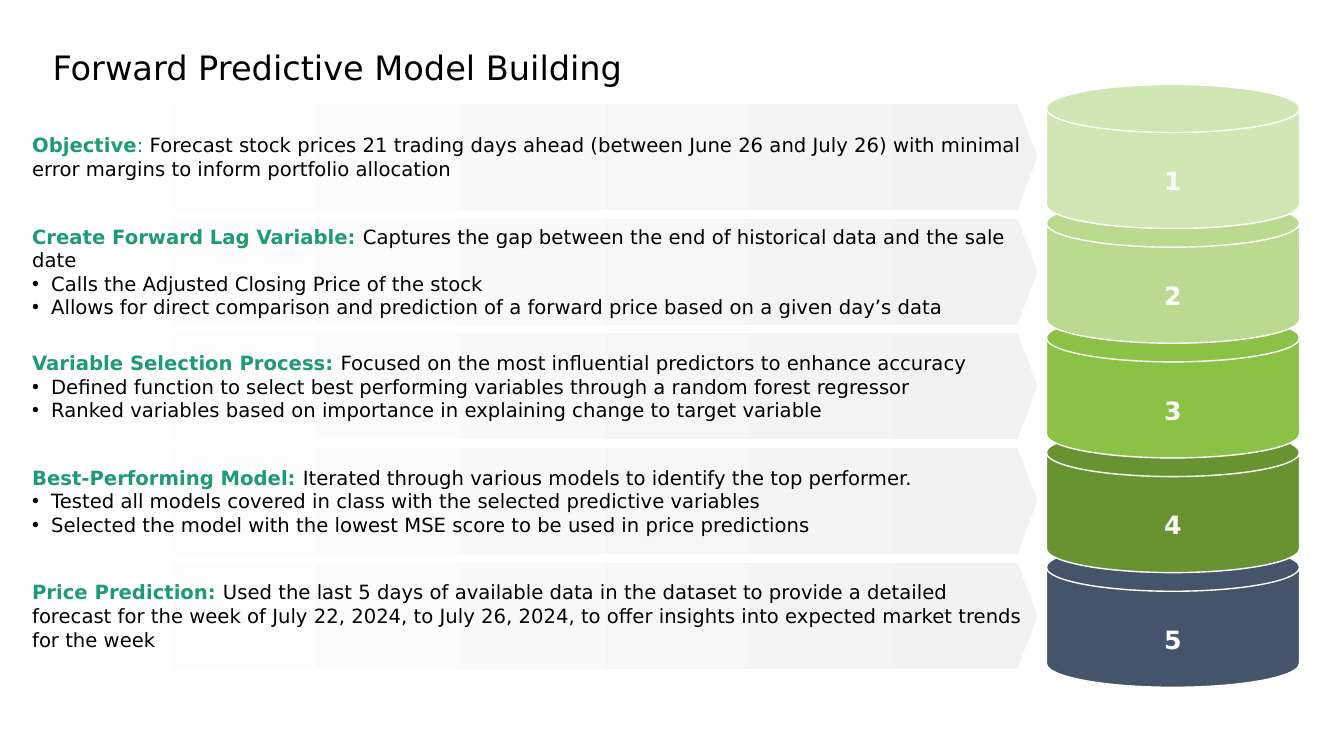
"""Build the slide on forward predictive model building."""
from dataclasses import dataclass

import lxml.etree
import pptx
import pptx.dml.color
import pptx.enum.shapes
import pptx.enum.text
import pptx.oxml.ns
import pptx.util

Cm = pptx.util.Cm
Pt = pptx.util.Pt
MIDDLE = pptx.enum.text.MSO_ANCHOR.MIDDLE
ALIGN = pptx.enum.text.PP_ALIGN
SHAPES = pptx.enum.shapes.MSO_SHAPE

FONT = "DejaVu Sans"
BLACK = "000000"
WHITE = "FFFFFF"
GREEN = "1D9A78"
BAR_END = "F2F2F2"

PITCH = 2.89
BAR_TOP = 2.62
DISK_TOP = 2.13
BULLET_INDENT = 0.48


@dataclass
class Step:
    number: int
    disk_color: str
    heading: str
    summary: str
    details: tuple[str, ...] = ()
    plain_mark: str = ""


STEPS = [
    Step(1, "D1E6B5", "Objective",
         " Forecast stock prices 21 trading days ahead (between June 26 and July 26) "
         "with minimal error margins to inform portfolio allocation",
         plain_mark=":"),
    Step(2, "B9DA8F", "Create Forward Lag Variable: ",
         "Captures the gap between the end of historical data and the sale date",
         ("Calls the Adjusted Closing Price of the stock",
          "Allows for direct comparison and prediction of a forward price based on a given day’s data")),
    Step(3, "8BC145", "Variable Selection Process: ",
         "Focused on the most influential predictors to enhance accuracy",
         ("Defined function to select best performing variables through a random forest regressor",
          "Ranked variables based on importance in explaining change to target variable")),
    Step(4, "699331", "Best-Performing Model: ",
         "Iterated through various models to identify the top performer.",
         ("Tested all models covered in class with the selected predictive variables",
          "Selected the model with the lowest MSE score to be used in price predictions")),
    Step(5, "44546A", "Price Prediction: ",
         "Used the last 5 days of available data in the dataset to provide a detailed forecast "
         "for the week of July 22, 2024, to July 26, 2024, to offer insights into expected "
         "market trends for the week"),
]


def rgb(color: str) -> pptx.dml.color.RGBColor:
    return pptx.dml.color.RGBColor.from_string(color)


def format_font(font, size: float, color: str, bold: bool = False) -> None:
    font.name = FONT
    font.size = Pt(size)
    font.bold = bold
    font.color.rgb = rgb(color)


def set_frame(frame, left: float, top: float, right: float, bottom: float) -> None:
    frame.word_wrap = True
    frame.vertical_anchor = MIDDLE
    frame.margin_left, frame.margin_top = Cm(left), Cm(top)
    frame.margin_right, frame.margin_bottom = Cm(right), Cm(bottom)


def add_bullet(paragraph) -> None:
    properties = paragraph._p.get_or_add_pPr()
    properties.set("marL", str(Cm(BULLET_INDENT)))
    properties.set("indent", str(-Cm(BULLET_INDENT)))
    qualified = pptx.oxml.ns.qn
    lxml.etree.SubElement(properties, qualified("a:buFont")).set("typeface", "Arial")
    lxml.etree.SubElement(properties, qualified("a:buChar")).set("char", "•")


def add_title(slide, text: str) -> None:
    title = slide.shapes.title
    title.left, title.top, title.width, title.height = Cm(1.07), Cm(1.07), Cm(31.72), Cm(1.35)
    title.text_frame.text = text
    title.text_frame.vertical_anchor = MIDDLE
    paragraph = title.text_frame.paragraphs[0]
    paragraph.alignment = ALIGN.LEFT
    paragraph.line_spacing = 0.9
    format_font(paragraph.font, 24, BLACK)


def add_disk(slide, step: Step) -> None:
    top = DISK_TOP + (step.number - 1) * PITCH
    disk = slide.shapes.add_shape(
        SHAPES.FLOWCHART_MAGNETIC_DISK, Cm(26.37), Cm(top), Cm(6.38), Cm(3.63))
    disk.shadow.inherit = False
    disk.fill.solid()
    disk.fill.fore_color.rgb = rgb(step.disk_color)
    disk.line.color.rgb = rgb(WHITE)
    disk.line.width = Pt(1)
    set_frame(disk.text_frame, 0, 0.61, 0, 0)
    paragraph = disk.text_frame.paragraphs[0]
    paragraph.text = str(step.number)
    paragraph.alignment = ALIGN.CENTER
    format_font(paragraph.font, 18, WHITE, bold=True)


def add_bar(slide, step: Step) -> None:
    top = BAR_TOP + (step.number - 1) * PITCH
    bar = slide.shapes.add_shape(SHAPES.PENTAGON, Cm(0.71), Cm(top), Cm(25.43), Cm(2.67))
    bar.adjustments[0] = 0.19
    bar.shadow.inherit = False
    bar.line.fill.background()
    bar.fill.gradient()
    bar.fill.gradient_angle = 0
    for stop, color in zip(bar.fill.gradient_stops, (WHITE, BAR_END)):
        stop.color.rgb = rgb(color)
    frame = bar.text_frame
    set_frame(frame, 0.1, 0.1, 0.1, 0.1)
    paragraph = frame.paragraphs[0]
    paragraph.alignment = ALIGN.LEFT
    for text, color, bold in ((step.heading, GREEN, True),
                              (step.plain_mark, GREEN, False),
                              (step.summary, BLACK, False)):
        if text:
            run = paragraph.add_run()
            run.text = text
            format_font(run.font, 14, color, bold)
    for detail in step.details:
        paragraph = frame.add_paragraph()
        paragraph.text = detail
        paragraph.alignment = ALIGN.LEFT
        add_bullet(paragraph)
        format_font(paragraph.font, 14, BLACK)


def main() -> None:
    presentation = pptx.Presentation()
    presentation.slide_width, presentation.slide_height = Cm(33.87), Cm(19.05)
    slide = presentation.slides.add_slide(presentation.slide_layouts[5])
    add_title(slide, "Forward Predictive Model Building")
    for step in reversed(STEPS):
        add_disk(slide, step)
    for step in STEPS:
        add_bar(slide, step)
    presentation.save("out.pptx")


if __name__ == "__main__":
    main()
